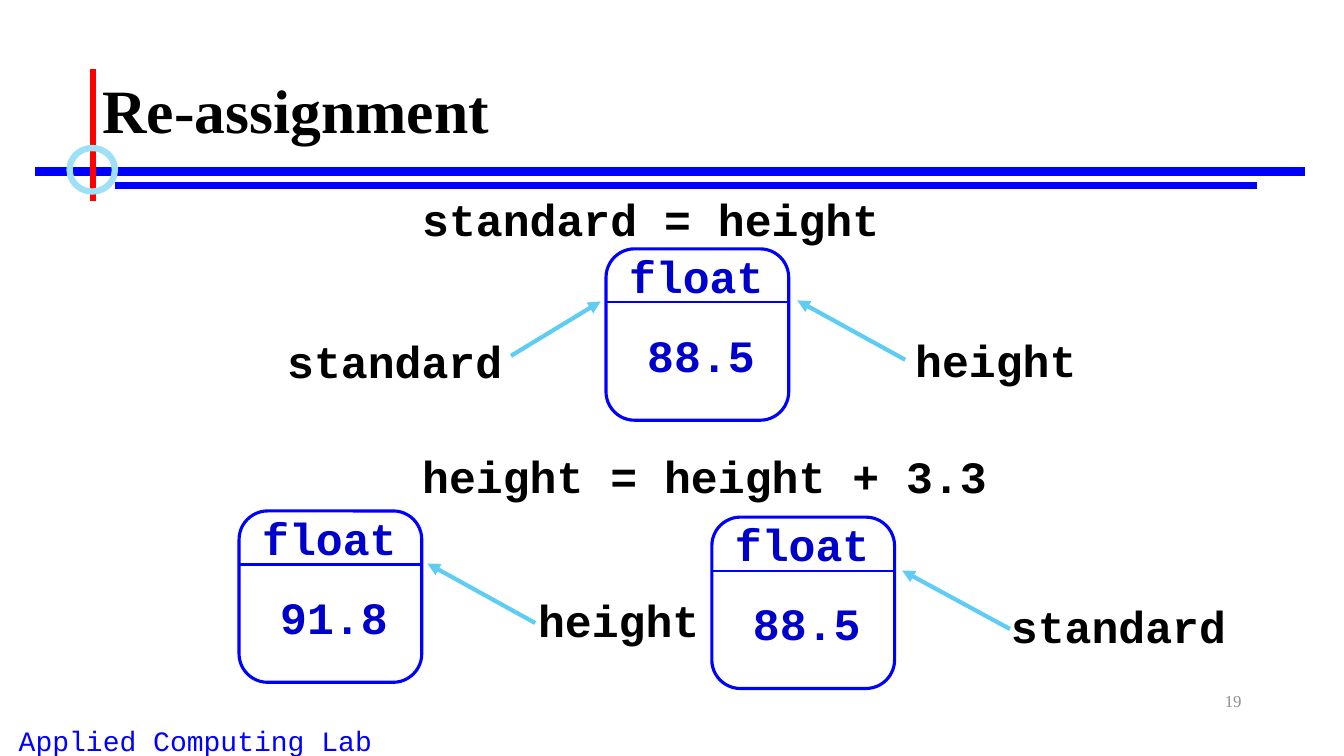
from lxml import etree
from pptx import Presentation
from pptx.dml.color import RGBColor
from pptx.enum.shapes import MSO_CONNECTOR, MSO_SHAPE
from pptx.enum.text import MSO_ANCHOR, MSO_AUTO_SIZE, PP_ALIGN
from pptx.oxml.ns import qn
from pptx.util import Pt

STRAIGHT = MSO_CONNECTOR.STRAIGHT
OVAL, ROUNDED = MSO_SHAPE.OVAL, MSO_SHAPE.ROUNDED_RECTANGLE
MIDDLE, TOP = MSO_ANCHOR.MIDDLE, MSO_ANCHOR.TOP
LEFT, CENTER, RIGHT = PP_ALIGN.LEFT, PP_ALIGN.CENTER, PP_ALIGN.RIGHT
NO_FIT, GROW = MSO_AUTO_SIZE.NONE, MSO_AUTO_SIZE.SHAPE_TO_FIT_TEXT

BLACK = RGBColor(0x00, 0x00, 0x00)
WHITE = RGBColor(0xFF, 0xFF, 0xFF)
BLUE = RGBColor(0x00, 0x00, 0xFF)
DARK_BLUE = RGBColor(0x00, 0x00, 0xCC)
RED = RGBColor(0xFF, 0x00, 0x00)
SKY = RGBColor(0x5E, 0xCC, 0xF3)
PALE_SKY = RGBColor(0x9E, 0xE0, 0xF8)
GRAY = RGBColor(0x8C, 0x8C, 0x8C)
SERIF, MONO = "Times New Roman", "Courier New"

HEADING = "Re-assignment"
LAB = "Applied Computing Lab"
PAGE = "19"
STATEMENTS = [("standard = height", 294.5, 133.2), ("height = height + 3.3", 294.5, 316.8)]
OBJECTS = [
    ("float", "91.8", 170.8, 365),
    ("float", "88.5", 508.5, 369.4),
    ("float", "88.5", 432.9, 177.8),
]
NAMES = [
    ("height", (377.3, 419.8), (382.3, 445), (305.3, 402.5)),
    ("standard", (715, 424.1), (721.4, 449.3), (644.4, 407.5)),
    ("height", (646.6, 234), (646.6, 257), (569.5, 214.6)),
    ("standard", (198, 234.7), (365, 254.2), (429.1, 215.3)),
]
RULES = [
    ((25.2, 122.4), (932.4, 122.4), BLUE, 6),
    ((82.1, 132.5), (897.8, 132.5), BLUE, 4.5),
    ((66.2, 49), (66.2, 143.3), RED, 4.5),
]

OBJECT_W, OBJECT_H, DIVIDER_DY = 130.5, 122.4, 38.2
TYPE_OFFSET, VALUE_OFFSET = (9.4, -3.6), (22.3, 52.6)
CODE_SIZE, CODE_H, CHAR_W, INSET = 32, 46, 19.4, 7.2

deck = Presentation()
deck.slide_width, deck.slide_height = Pt(960), Pt(540)
slide = deck.slides.add_slide(deck.slide_layouts[5])
shapes = slide.shapes


def write(frame, words, font, size, color, bold=False, align=LEFT):
    paragraph = frame.paragraphs[0]
    paragraph.alignment = align
    run = paragraph.add_run()
    run.text = words
    run.font.name, run.font.size, run.font.bold = font, Pt(size), bold
    run.font.color.rgb = color
    return paragraph


def add_label(words, x, y, w, h, wrap=True, fit=NO_FIT, anchor=TOP, **style):
    frame = shapes.add_textbox(Pt(x), Pt(y), Pt(w), Pt(h)).text_frame
    frame.word_wrap, frame.auto_size, frame.vertical_anchor = wrap, fit, anchor
    write(frame, words, **style)


def add_code(words, x, y, color=BLACK):
    add_label(words, x, y, len(words) * CHAR_W + 2 * INSET, CODE_H, wrap=False, fit=GROW,
              font=MONO, size=CODE_SIZE, color=color, bold=True)


def add_line(start, end, color, weight, arrow=False):
    line = shapes.add_connector(STRAIGHT, *(Pt(v) for v in (*start, *end)))
    line.line.color.rgb, line.line.width = color, Pt(weight)
    if arrow:
        etree.SubElement(line.line._get_or_add_ln(), qn("a:tailEnd"), type="triangle")
    etree.SubElement(line._element.spPr, qn("a:effectLst"))


def add_outline(kind, x, y, w, h, color, weight, fill=None):
    outline = shapes.add_shape(kind, Pt(x), Pt(y), Pt(w), Pt(h))
    outline.shadow.inherit = False
    outline.line.color.rgb, outline.line.width = color, Pt(weight)
    if fill is None:
        outline.fill.background()
    else:
        outline.fill.solid()
        outline.fill.fore_color.rgb = fill


def add_object(type_name, value, x, y):
    add_outline(ROUNDED, x, y, OBJECT_W, OBJECT_H, BLUE, 2.25, WHITE)
    add_line((x, y + DIVIDER_DY), (x + OBJECT_W, y + DIVIDER_DY), BLUE, 1.5)
    for words, (dx, dy) in ((type_name, TYPE_OFFSET), (value, VALUE_OFFSET)):
        add_code(words, x + dx, y + dy, DARK_BLUE)


for rule in RULES:
    add_line(*rule)
add_outline(OVAL, 49.7, 105.8, 32.4, 31, PALE_SKY, 4.5)

heading = shapes.title
heading.left, heading.top, heading.width, heading.height = Pt(66), Pt(28.8), Pt(828), Pt(104.4)
heading.text_frame.vertical_anchor = MIDDLE
heading.text_frame.auto_size = NO_FIT
write(heading.text_frame, HEADING, SERIF, 44, BLACK, bold=True).line_spacing = 0.9

add_label(LAB, -41.8, 513.4, 362.9, 31, font=MONO, size=20, color=BLUE, align=CENTER)
add_label(PAGE, 678, 486, 216, 28.8, anchor=MIDDLE, font=SERIF, size=12, color=GRAY, align=RIGHT)

for statement in STATEMENTS:
    add_code(*statement)
for item in OBJECTS:
    add_object(*item)
for name, corner, start, end in NAMES:
    add_code(name, *corner)
    add_line(start, end, SKY, 3, arrow=True)

deck.save("out.pptx")
